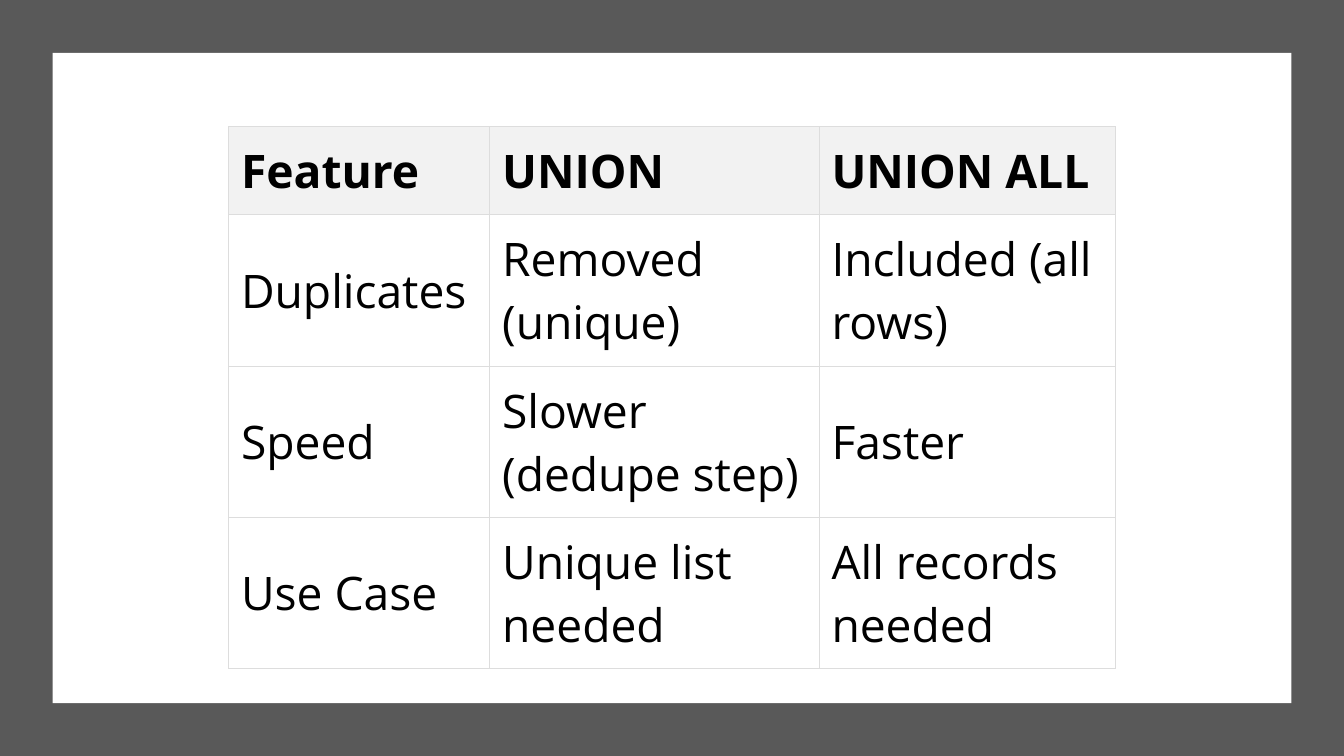
import pptx
import pptx.dml.color
import pptx.enum.shapes
import pptx.enum.text
import pptx.oxml.ns
import pptx.util
from lxml import etree

Pt = pptx.util.Pt
FONT = "Open Sans"
SLIDE_W, SLIDE_H = 960, 540
ROWS = [
    ("Feature", "UNION", "UNION ALL"),
    ("Duplicates", "Removed (unique)", "Included (all rows)"),
    ("Speed", "Slower (dedupe step)", "Faster"),
    ("Use Case", "Unique list needed", "All records needed"),
]
COL_WIDTHS = (186.5, 235.3, 212)
ROW_HEIGHTS = (60, 99.5, 99.5, 99.5)


def rgb(color):
    """Turn a hex string into a colour."""
    return pptx.dml.color.RGBColor.from_string(color)


def add_panel(slide, x, y, w, h, color):
    """Draw a plain filled rectangle in the given box."""
    sp = slide.shapes.add_shape(
        pptx.enum.shapes.MSO_SHAPE.RECTANGLE, Pt(x), Pt(y), Pt(w), Pt(h))
    sp.shadow.inherit = False
    sp.fill.solid()
    sp.fill.fore_color.rgb = rgb(color)
    sp.line.fill.background()


def set_borders(cell, color, width):
    """Give all four sides of a cell the same line."""
    qn = pptx.oxml.ns.qn
    tc_pr = cell._tc.get_or_add_tcPr()
    for side in ("a:lnL", "a:lnR", "a:lnT", "a:lnB"):
        ln = etree.SubElement(tc_pr, qn(side), w=str(Pt(width)))
        fill = etree.SubElement(ln, qn("a:solidFill"))
        etree.SubElement(fill, qn("a:srgbClr"), val=color)


def style_cell(cell, text, header):
    """Write the text of a cell and set its look."""
    cell.margin_left = cell.margin_right = Pt(9)
    cell.margin_top = cell.margin_bottom = Pt(9)
    cell.vertical_anchor = pptx.enum.text.MSO_ANCHOR.MIDDLE
    set_borders(cell, "DDDDDD", 0.6)
    if header:
        cell.fill.solid()
        cell.fill.fore_color.rgb = rgb("F2F2F2")
    else:
        cell.fill.background()
    p = cell.text_frame.paragraphs[0]
    p.text = text
    font = p.runs[0].font
    font.name = FONT
    font.size = Pt(33)
    font.bold = header
    font.color.rgb = rgb("000000")


def add_comparison(slide, x, y):
    """Place the comparison table with its top left corner at x, y."""
    table = slide.shapes.add_table(
        len(ROWS), len(COL_WIDTHS), Pt(x), Pt(y),
        Pt(sum(COL_WIDTHS)), Pt(sum(ROW_HEIGHTS))).table
    table.first_row = False
    table.horz_banding = False
    for column, width in zip(table.columns, COL_WIDTHS):
        column.width = Pt(width)
    for i, (row, height) in enumerate(zip(table.rows, ROW_HEIGHTS)):
        row.height = Pt(height)
        for cell, text in zip(row.cells, ROWS[i]):
            style_cell(cell, text, header=i == 0)


def main():
    """Build the slide and save it."""
    prs = pptx.Presentation()
    prs.slide_width, prs.slide_height = Pt(SLIDE_W), Pt(SLIDE_H)
    slide = prs.slides.add_slide(prs.slide_layouts[6])
    add_panel(slide, 0, 0, SLIDE_W, SLIDE_H, "595959")
    add_panel(slide, 37.5, 37.8, 885, 464.4, "FFFFFF")
    add_comparison(slide, 163.2, 90.4)
    prs.save("out.pptx")


if __name__ == "__main__":
    main()
